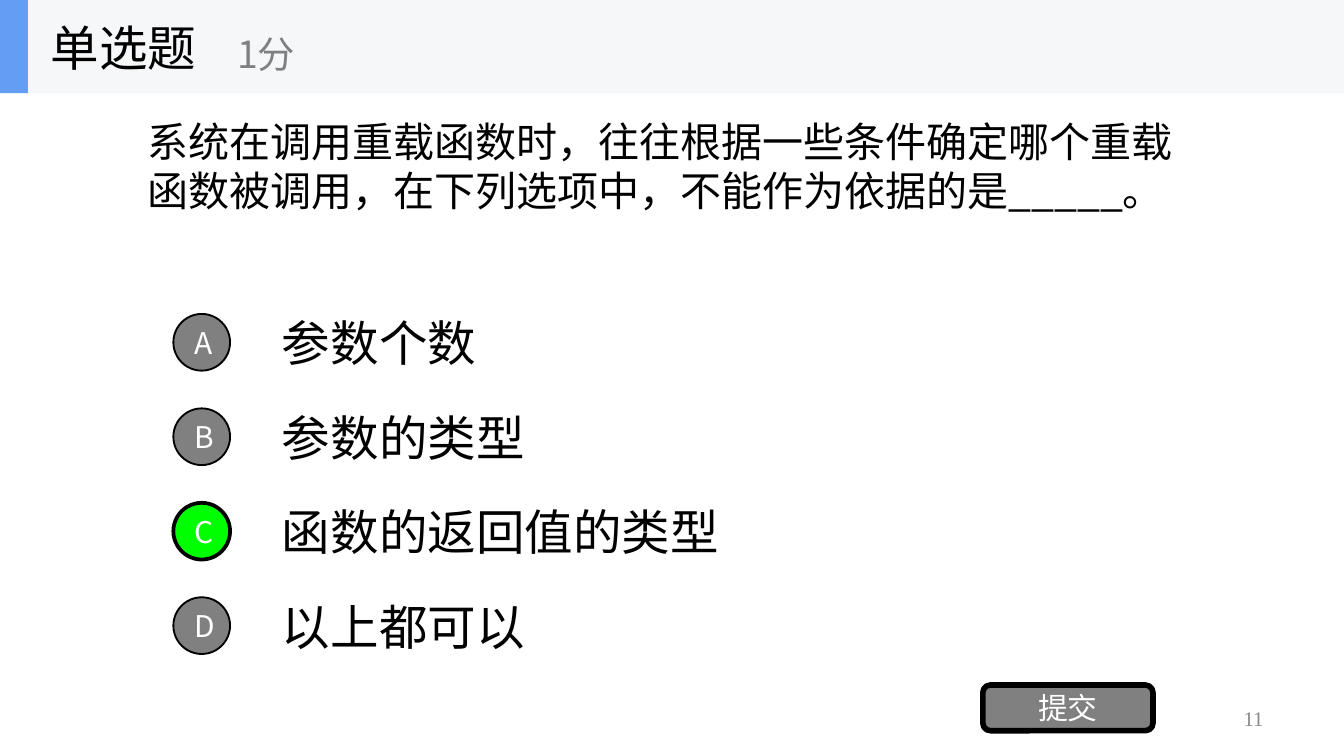
from lxml import etree
from pptx import Presentation
from pptx.dml.color import RGBColor
from pptx.enum.shapes import MSO_SHAPE
from pptx.enum.text import MSO_ANCHOR, MSO_AUTO_SIZE, PP_ALIGN
from pptx.oxml.ns import qn
from pptx.util import Pt

HEADING = "单选题"
SCORE = "1分"
QUESTION = "系统在调用重载函数时，往往根据一些条件确定哪个重载函数被调用，在下列选项中，不能作为依据的是_____。"
OPTIONS = [
    ("A", "参数个数"),
    ("B", "参数的类型"),
    ("C", "函数的返回值的类型"),
    ("D", "以上都可以"),
]
ANSWER = "C"
SUBMIT = "提交"
PAGE_NUMBER = "11"

SANS = "Noto Sans CJK SC"
SERIF = "Times New Roman"
BLACK = RGBColor(0x00, 0x00, 0x00)
WHITE = RGBColor(0xFF, 0xFF, 0xFF)
GRAY = RGBColor(0x80, 0x80, 0x80)
PAGE_GRAY = RGBColor(0x89, 0x89, 0x89)
GREEN = RGBColor(0x00, 0xFF, 0x00)
HEADER_GRAY = RGBColor(0xF6, 0xF7, 0xF8)
ACCENT_BLUE = RGBColor(0x63, 0x9E, 0xF4)

LEFT, CENTER, RIGHT = PP_ALIGN.LEFT, PP_ALIGN.CENTER, PP_ALIGN.RIGHT
MIDDLE = MSO_ANCHOR.MIDDLE
NO_AUTO_SIZE = MSO_AUTO_SIZE.NONE
RECTANGLE, ROUNDED, OVAL = MSO_SHAPE.RECTANGLE, MSO_SHAPE.ROUNDED_RECTANGLE, MSO_SHAPE.OVAL

SLIDE_WIDTH, SLIDE_HEIGHT = 720, 405
HEADER_HEIGHT = 50
OPTION_TOP, OPTION_HEIGHT, OPTION_PITCH = 164.4, 38, 50.6
CIRCLE_LEFT, CIRCLE_SIZE = 92.9, 30.4


def write(shape, text, size, color, align=LEFT, font_name=SANS):
    frame = shape.text_frame
    frame.text = text
    frame.word_wrap = True
    frame.auto_size = NO_AUTO_SIZE
    frame.vertical_anchor = MIDDLE
    paragraph = frame.paragraphs[0]
    paragraph.alignment = align
    font = paragraph.font
    font.size = Pt(size)
    font.color.rgb = color
    font.name = font_name
    # Chinese characters take their typeface from a:ea, which follows a:latin
    latin = paragraph._p.pPr.find(qn("a:defRPr")).find(qn("a:latin"))
    east_asian = etree.Element(qn("a:ea"), typeface=font_name)
    latin.addnext(east_asian)
    return paragraph


def add_text(slide, box, *text_style):
    return write(slide.shapes.add_textbox(*map(Pt, box)), *text_style)


def add_filled(slide, kind, box, fill, line_width=0):
    shape = slide.shapes.add_shape(kind, *map(Pt, box))
    shape.shadow.inherit = False
    shape.fill.solid()
    shape.fill.fore_color.rgb = fill
    if line_width:
        shape.line.color.rgb = BLACK
        shape.line.width = Pt(line_width)
    else:
        shape.line.fill.background()
    return shape


def add_header(slide):
    add_filled(slide, RECTANGLE, (0, 0, SLIDE_WIDTH, HEADER_HEIGHT), HEADER_GRAY)
    add_filled(slide, RECTANGLE, (0, 0, 15, HEADER_HEIGHT), ACCENT_BLUE)
    title = slide.shapes.title
    title.left, title.top = Pt(20), Pt(0)
    title.width, title.height = Pt(150), Pt(HEADER_HEIGHT)
    write(title, HEADING, 26, BLACK)
    slide.shapes._spTree.append(title._element)  # bring in front of the bands
    add_text(slide, (120, 8.6, 180, 40), SCORE, 20, GRAY)


def add_options(slide):
    for row, (letter, text) in enumerate(OPTIONS):
        top = OPTION_TOP + row * OPTION_PITCH
        add_text(slide, (144, top, 504, OPTION_HEIGHT), text, 26, BLACK)
        correct = letter == ANSWER
        circle_top = top + (OPTION_HEIGHT - CIRCLE_SIZE) / 2
        circle = add_filled(slide, OVAL, (CIRCLE_LEFT, circle_top, CIRCLE_SIZE, CIRCLE_SIZE),
                            GREEN if correct else GRAY, 2 if correct else 1)
        write(circle, letter, 16, WHITE, CENTER)


def main():
    presentation = Presentation()
    presentation.slide_width = Pt(SLIDE_WIDTH)
    presentation.slide_height = Pt(SLIDE_HEIGHT)
    slide = presentation.slides.add_slide(presentation.slide_layouts[5])

    add_header(slide)
    add_text(slide, (72, 25.2, 576, 126.7), QUESTION, 22, BLACK)
    add_options(slide)
    button = add_filled(slide, ROUNDED, (526.5, 367, 91.2, 24.5), GRAY, 3)
    write(button, SUBMIT, 16, WHITE, CENTER)
    page = add_text(slide, (516, 375, 168, 21.6), PAGE_NUMBER, 11.1, PAGE_GRAY, RIGHT, SERIF)
    page.line_spacing = 0.9

    presentation.save("out.pptx")


if __name__ == "__main__":
    main()
